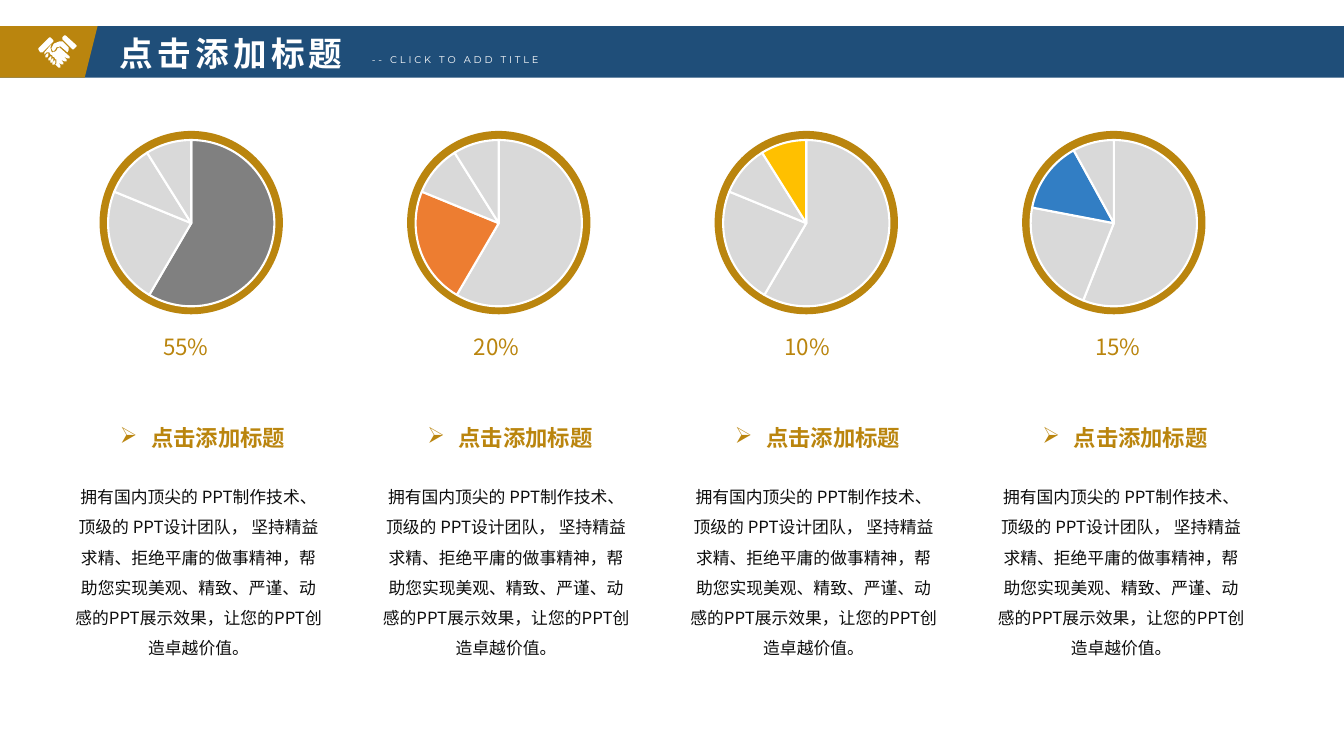
import pptx
import pptx.chart.data
import pptx.dml.color
import pptx.enum.chart
import pptx.enum.shapes
import pptx.enum.text
import pptx.oxml
import pptx.oxml.ns
import pptx.util
from lxml import etree

Cm, Pt = pptx.util.Cm, pptx.util.Pt
Shapes = pptx.enum.shapes.MSO_SHAPE
Align = pptx.enum.text.PP_ALIGN

COLOURS = {
    "navy": "1F4E79", "gold": "BA850E", "white": "FFFFFF", "tint": "FCFDFF",
    "body": "0D0D0D", "black": "000000", "pale": "D9D9D9", "grey": "808080",
    "orange": "ED7D31", "yellow": "FFC000", "blue": "327EC4",
}
CJK = "Noto Sans CJK SC"
HEADING = "点击添加标题"
BODY = ("拥有国内顶尖的 PPT制作技术、顶级的 PPT设计团队， 坚持精益求精、拒绝平庸的做事精神，"
        "帮助您实现美观、精致、严谨、动感的PPT展示效果，让您的PPT创造卓越价值。")

# Share label, pie values, highlighted slice and its colour
COLUMNS = [
    ("55%", (59, 23, 10, 9), 0, "grey"),
    ("20%", (59, 23, 10, 9), 1, "orange"),
    ("10%", (59, 23, 10, 9), 3, "yellow"),
    ("15%", (56, 22, 14, 8), 2, "blue"),
]

# Handshake outlines on a grid of ICON_UNIT
ICON_UNIT = Cm(0.0254)
FINGER = [(11, 18), (10, 18), (8, 20), (8, 22), (10, 22), (11, 20)]
HANDSHAKE = [
    # sleeves
    [(36, 14), (35, 14), (25, 4), (25, 2), (27, 0), (28, 0), (39, 10), (39, 11)],
    [(16, 5), (16, 6), (5, 17), (3, 17), (1, 14), (1, 13), (12, 2), (13, 2)],
    # lower hand
    [(32, 21), (22, 12), (20, 13), (19, 15), (18, 16), (15, 17), (14, 16), (13, 12),
     (14, 9), (7, 17), (7, 19), (9, 17), (12, 17), (13, 19), (15, 20), (15, 21),
     (17, 22), (18, 24), (19, 24), (19, 28), (18, 29), (21, 32), (23, 32), (23, 30),
     (21, 27), (24, 29), (26, 29), (26, 27), (23, 24), (27, 26), (29, 26), (29, 24),
     (26, 21), (30, 23), (32, 23)],
    # upper hand
    [(31, 12), (25, 6), (22, 6), (17, 8), (16, 9), (14, 13), (15, 15), (16, 16),
     (18, 14), (19, 12), (23, 11), (30, 17), (31, 15)],
] + [[(x + step, y + step) for x, y in FINGER] for step in (0, 3, 5, 7)]


def rgb(name):
    return pptx.dml.color.RGBColor.from_string(COLOURS[name])


def paint(shape, colour):
    shape.shadow.inherit = False
    shape.fill.solid()
    shape.fill.fore_color.rgb = rgb(colour)
    shape.line.fill.background()


def write(box, text, size, colour, font=CJK, bold=False, align=Align.LEFT,
          wrap=True, spacing=None, line_spacing=None, bullet=None):
    frame = box.text_frame
    frame.word_wrap = wrap
    frame.vertical_anchor = pptx.enum.text.MSO_ANCHOR.TOP
    para = frame.paragraphs[0]
    para.alignment = align
    if line_spacing:
        para.line_spacing = line_spacing
    if bullet:
        properties = para._p.get_or_add_pPr()
        properties.set("marL", str(Cm(0.79)))
        properties.set("indent", str(-Cm(0.79)))
        mark = etree.SubElement(properties, pptx.oxml.ns.qn("a:buChar"))
        mark.set("char", bullet)
    span = para.add_run()
    span.text = text
    span.font.size = Pt(size)
    span.font.bold = bold
    span.font.name = font
    span.font.color.rgb = rgb(colour)
    run_properties = span.font._element
    east_asian = etree.SubElement(run_properties, pptx.oxml.ns.qn("a:ea"))
    east_asian.set("typeface", font)
    if spacing:
        run_properties.set("spc", str(spacing * 100))


def add_text(page, left, top, width, height, text, **style):
    write(page.shapes.add_textbox(left, top, width, height), text, **style)


def add_handshake(page, left, top):
    for outline in HANDSHAKE:
        builder = page.shapes.build_freeform(*outline[0], scale=float(ICON_UNIT))
        builder.add_line_segments(outline[1:], close=True)
        paint(builder.convert_to_shape(left, top), "white")


def add_header(page, top, height):
    # Slanted band and tag run past the page edges
    for left, width, colour in ((-1.19, 36.27, "navy"), (-1.02, 3.48, "gold")):
        paint(page.shapes.add_shape(Shapes.PARALLELOGRAM, Cm(left), top,
                                    Cm(width), height), colour)
    add_handshake(page, Cm(0.94), top + Cm(0.23))

    # Title goes in front of the band
    title = page.shapes.title
    title.left, title.top = Cm(2.77), top + Cm(0.05)
    title.width, title.height = Cm(7.44), height
    title.element.getparent().append(title.element)
    write(title, HEADING, size=24, colour="white", bold=True, spacing=3)
    add_text(page, Cm(9.12), top + Cm(0.58), Cm(6.58), Cm(0.56),
             "-- CLICK TO ADD TITLE", size=7, colour="white",
             font="Montserrat", spacing=2)


def add_pie(page, left, top, width, height, values, highlight, colour):
    data = pptx.chart.data.CategoryChartData()
    data.categories = ["1", "2", "3", "4"]
    data.add_series("Series 1", values)
    chart = page.shapes.add_chart(pptx.enum.chart.XL_CHART_TYPE.PIE,
                                  left, top, width, height, data).chart
    chart.has_legend = False
    chart.has_title = False
    chart.font.name, chart.font.size = "Calibri", Pt(10)
    chart.font.color.rgb = rgb("black")
    plot = chart.plots[0]
    plot.vary_by_categories = False
    for index in range(len(values)):
        slice_format = plot.series[0].points[index].format
        slice_format.fill.solid()
        slice_format.fill.fore_color.rgb = rgb(colour if index == highlight else "pale")
        slice_format.line.color.rgb = rgb("white")
        slice_format.line.width = Pt(1.5)

    # Centre the plot inside the ring
    plot_area = chart._chartSpace.chart.plotArea
    for old in plot_area.findall(pptx.oxml.ns.qn("c:layout")):
        plot_area.remove(old)
    share_x, share_y = 0.86, 0.83
    plot_area.insert(0, pptx.oxml.parse_xml(
        f'<c:layout {pptx.oxml.ns.nsdecls("c")}><c:manualLayout>'
        '<c:layoutTarget val="inner"/><c:xMode val="edge"/><c:yMode val="edge"/>'
        f'<c:x val="{(1 - share_x) / 2:.3f}"/><c:y val="{(1 - share_y) / 2:.3f}"/>'
        f'<c:w val="{share_x}"/><c:h val="{share_y}"/>'
        '</c:manualLayout></c:layout>'))


def add_column(page, left, top, label_left, label, values, highlight, colour):
    # Ring and pie
    ring = page.shapes.add_shape(Shapes.OVAL, left + Cm(0.91), top + Cm(0.2),
                                 Cm(4.62), Cm(4.62))
    paint(ring, "gold")
    add_pie(page, left + Cm(0.78), top, Cm(4.88), Cm(5.05),
            values, highlight, colour)

    # Share, heading and description
    add_text(page, label_left, top + Cm(5.18), Cm(1.75), Cm(0.94), label,
             size=16, colour="gold", wrap=False)
    add_text(page, left + Cm(1.17), top + Cm(7.47), Cm(4.72), Cm(0.94), HEADING,
             size=16, colour="gold", bold=True, wrap=False, bullet="➢")
    add_text(page, left, top + Cm(8.79), Cm(6.81), Cm(4.88), BODY,
             size=12, colour="body", align=Align.CENTER, line_spacing=1.5)


def main():
    deck = pptx.Presentation()
    deck.slide_width, deck.slide_height = Cm(33.87), Cm(19.05)
    page = deck.slides.add_slide(deck.slide_layouts[5])

    # Faint gradient behind everything
    backdrop = page.background.fill
    backdrop.gradient()
    backdrop.gradient_angle = 0
    for stop, name in zip(backdrop.gradient_stops, ("white", "tint")):
        stop.color.rgb = rgb(name)

    add_header(page, Cm(0.66), Cm(1.3))
    for index, column in enumerate(COLUMNS):
        add_column(page, Cm(1.6 + 7.75 * index), Cm(3.1),
                   Cm(3.86 + 7.83 * index), *column)
    deck.save("out.pptx")


if __name__ == "__main__":
    main()
